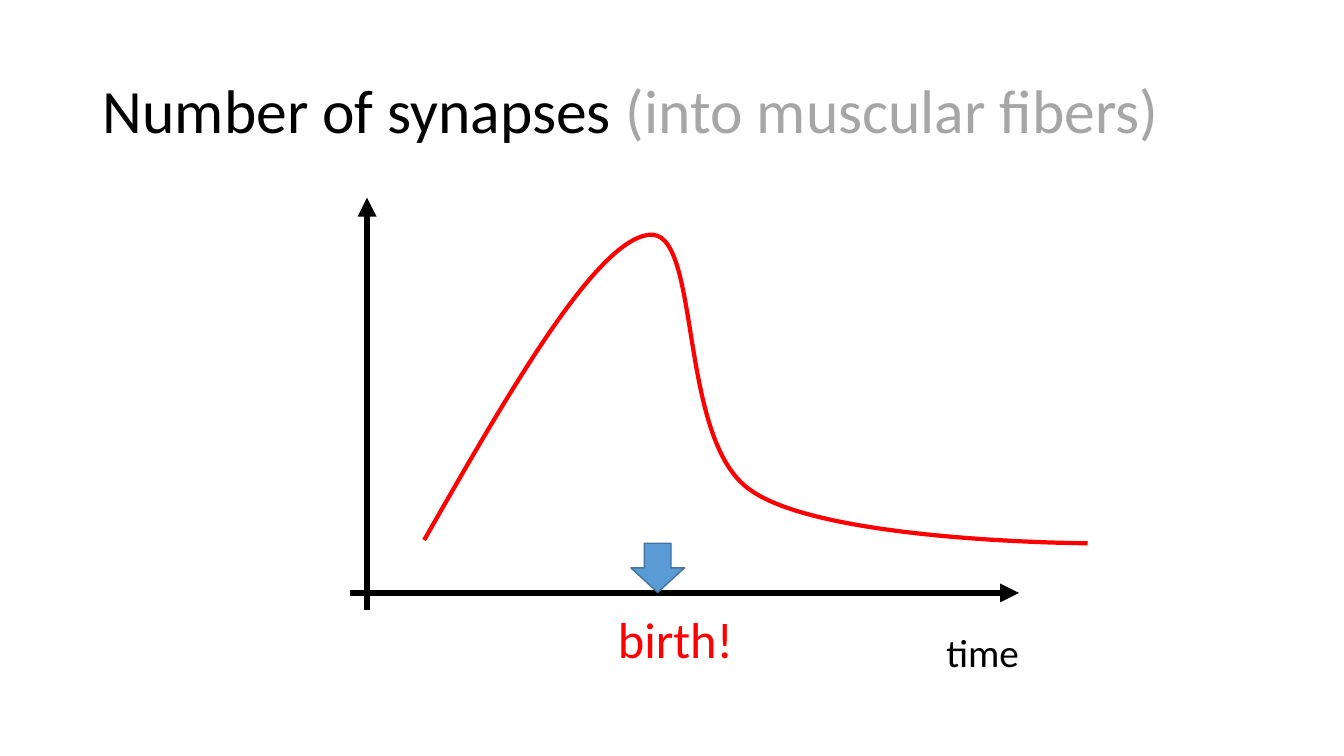
from dataclasses import dataclass

import pptx
import pptx.dml.color
import pptx.enum.dml
import pptx.enum.shapes
import pptx.enum.text
import pptx.oxml
import pptx.oxml.ns
import pptx.util
from pptx.util import Cm

FONT = "Calibri"
BLACK, GREY, RED = "000000", "A6A6A6", "FF0000"
Point = tuple[float, float]


@dataclass
class Axis:
    start: Point
    end: Point


@dataclass
class Label:
    text: str
    left: float
    top: float
    width: float
    height: float
    size: float
    color: str


AXES = [
    Axis((8.81, 14.94), (25.68, 14.94)),
    Axis((9.25, 15.37), (9.25, 4.98)),
]
LABELS = [
    Label("time", 23.6, 15.7, 2.36, 1.45, 28, BLACK),
    Label("birth!", 15.32, 15.19, 3.45, 1.8, 36, RED),
]
SYNAPSE_START = (10.69, 13.61)
# Each segment holds two control points and an end point.
SYNAPSE_SEGMENTS = [
    [(12.83, 9.86), (14.99, 6.12), (16.33, 5.92)],
    [(17.7, 5.69), (17.04, 11.05), (18.9, 12.34)],
    [(20.73, 13.67), (27.41, 13.69), (27.41, 13.69)],
]


def rgb(color: str) -> pptx.dml.color.RGBColor:
    return pptx.dml.color.RGBColor.from_string(color)


def set_line(shape, color: str, width: float) -> None:
    shape.line.color.rgb = rgb(color)
    shape.line.width = pptx.util.Pt(width)


def add_run(paragraph, text: str, size: float, color: str) -> None:
    run = paragraph.add_run()
    run.text = text
    run.font.name = FONT
    run.font.size = pptx.util.Pt(size)
    run.font.color.rgb = rgb(color)


def fill_title(title) -> None:
    title.left, title.top, title.width, title.height = map(Cm, (2.34, 1.02, 29.46, 3.68))
    frame = title.text_frame
    frame.auto_size = pptx.enum.text.MSO_AUTO_SIZE.NONE
    frame.vertical_anchor = pptx.enum.text.MSO_ANCHOR.MIDDLE
    heading = frame.paragraphs[0]
    heading.alignment = pptx.enum.text.PP_ALIGN.LEFT
    heading.line_spacing = 0.9
    add_run(heading, "Number of synapses ", 44, BLACK)
    add_run(heading, "(into muscular fibers)", 44, GREY)


def add_axis(shapes, axis: Axis) -> None:
    arrow = shapes.add_connector(
        pptx.enum.shapes.MSO_CONNECTOR.STRAIGHT, *map(Cm, axis.start + axis.end)
    )
    set_line(arrow, BLACK, 4.5)
    pptx.oxml.ns.qn("a:tailEnd")
    head = pptx.oxml.parse_xml(
        f'<a:tailEnd {pptx.oxml.ns.nsdecls("a")} type="triangle"/>'
    )
    arrow.line._get_or_add_ln().append(head)
    arrow._element.spPr.append(
        pptx.oxml.parse_xml(f'<a:effectLst {pptx.oxml.ns.nsdecls("a")}/>')
    )


def add_label(shapes, label: Label) -> None:
    box = shapes.add_textbox(*map(Cm, (label.left, label.top, label.width, label.height)))
    frame = box.text_frame
    frame.word_wrap = False
    frame.auto_size = pptx.enum.text.MSO_AUTO_SIZE.SHAPE_TO_FIT_TEXT
    add_run(frame.paragraphs[0], label.text, label.size, label.color)


def add_birth_arrow(shapes) -> None:
    arrow = shapes.add_shape(
        pptx.enum.shapes.MSO_SHAPE.DOWN_ARROW, *map(Cm, (15.9, 13.69, 1.35, 1.24))
    )
    arrow.shadow.inherit = False
    arrow.fill.solid()
    arrow.fill.fore_color.rgb = rgb("5B9BD5")
    set_line(arrow, "43739E", 1)


def add_curve(shapes, start: Point, segments: list[list[Point]]) -> None:
    """Draw an open Bézier curve by joining each three straight steps into one."""
    builder = shapes.build_freeform(Cm(start[0]), Cm(start[1]))
    vertices = [(Cm(x), Cm(y)) for segment in segments for x, y in segment]
    builder.add_line_segments(vertices, close=False)
    curve = builder.convert_to_shape()
    curve.shadow.inherit = False
    curve.fill.background()
    set_line(curve, RED, 3)

    outline = curve._element.find(".//" + pptx.oxml.ns.qn("a:path"))
    steps = outline.findall(pptx.oxml.ns.qn("a:lnTo"))
    for first in range(0, len(steps), 3):
        bezier = pptx.oxml.parse_xml(f'<a:cubicBezTo {pptx.oxml.ns.nsdecls("a")}/>')
        for step in steps[first:first + 3]:
            bezier.append(step[0])
            outline.remove(step)
        outline.append(bezier)


def main() -> None:
    presentation = pptx.Presentation()
    presentation.slide_width, presentation.slide_height = Cm(33.87), Cm(19.05)
    title_only = presentation.slide_layouts[5]
    slide = presentation.slides.add_slide(title_only)
    fill_title(slide.shapes.title)
    for axis in AXES:
        add_axis(slide.shapes, axis)
    for label in LABELS:
        add_label(slide.shapes, label)
    add_birth_arrow(slide.shapes)
    add_curve(slide.shapes, SYNAPSE_START, SYNAPSE_SEGMENTS)
    presentation.save("out.pptx")


if __name__ == "__main__":
    main()
